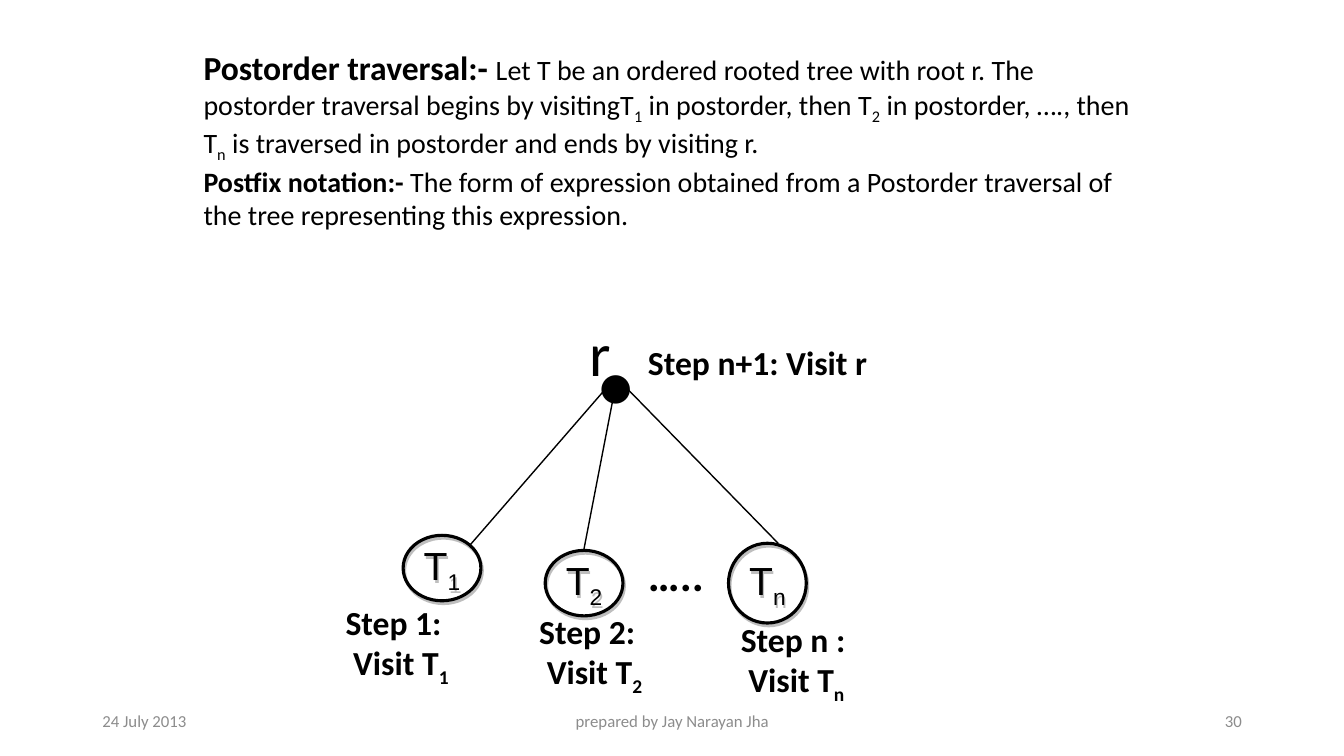
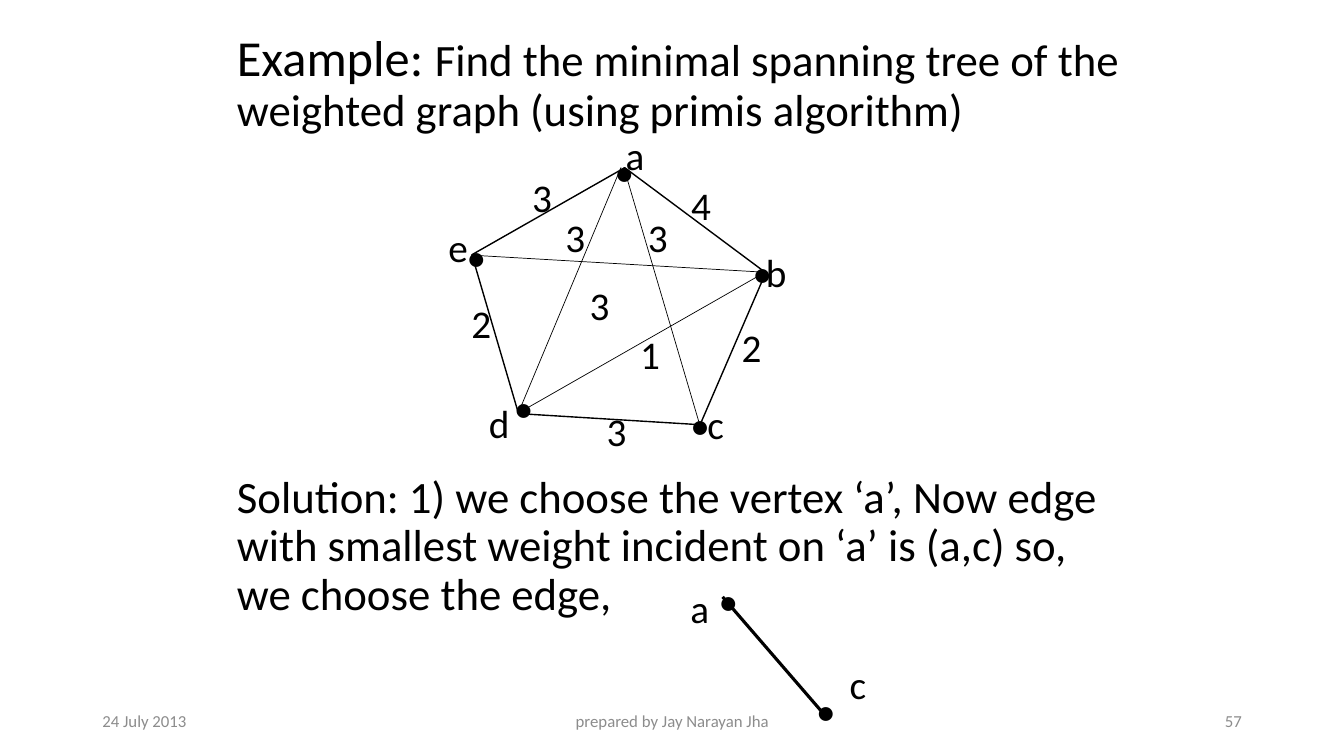
from lxml import etree
from pptx import Presentation
from pptx.dml.color import RGBColor
from pptx.enum.shapes import MSO_CONNECTOR, MSO_SHAPE
from pptx.enum.text import MSO_ANCHOR, PP_ALIGN
from pptx.oxml.ns import qn
from pptx.util import Cm, Pt

LEFT, CENTER, RIGHT = PP_ALIGN.LEFT, PP_ALIGN.CENTER, PP_ALIGN.RIGHT
TOP, MIDDLE = MSO_ANCHOR.TOP, MSO_ANCHOR.MIDDLE
STRAIGHT = MSO_CONNECTOR.STRAIGHT
OVAL, PENTAGON = MSO_SHAPE.OVAL, MSO_SHAPE.REGULAR_PENTAGON

COLOURS = {"ink": "000000", "footer": "8C8C8C", "shadow": "7F7F7F"}
BODY_FONT, NODE_FONT = "Calibri", "Arial"

# Content: a run is (text, size, bold); "_" makes the next character a subscript
DATE, AUTHOR = "24 July 2013", "prepared by Jay Narayan Jha"
DEFINITIONS = [
    [("Postorder traversal:- ", 24, True),
     ("Let T be an ordered rooted tree with root r. The postorder traversal "
      "begins by visitingT_1 in postorder, then T_2 in postorder, …., then T_n "
      "is traversed in postorder and ends by visiting r.", 20, False)],
    [("Postfix notation:- ", 20, True),
     ("The form of expression obtained from a Postorder traversal of the tree "
      "representing this expression.", 20, False)],
]
EXAMPLE = [[("Example: ", 36, False),
            ("Find the minimal spanning tree of the weighted graph "
             "(using primis algorithm)", 32, False)]]
SOLUTION = [[("Solution: 1) we choose the vertex ‘a’, Now edge with smallest "
              "weight incident on ‘a’ is (a,c) so, we choose the edge,", 32, False)]]

# Tree: subtree name, ellipse box, step title, step position (all in cm)
SUBTREES = [
    ("T_1", (10.16, 13.49, 1.96, 1.65), "Step 1:", (8.46, 15.04)),
    ("T_2", (13.74, 13.87, 1.96, 1.65), "Step 2:", (13.34, 15.27)),
    ("T_n", (18.36, 13.69, 1.96, 2.01), "Step n :", (18.42, 15.47)),
]
BRANCHES = [((15.52, 9.5), (11.84, 13.74)), ((15.52, 9.5), (19.61, 13.69)),
            ((15.52, 9.68), (14.71, 13.87))]
TREE_LABELS = [  # text, size, bold, box
    ("●", 44, False, (14.81, 8.59, 1.6, 2.13)),
    ("r", 44, False, (14.6, 7.82, 1.1, 2.13)),
    ("Step n+1: Visit r", 24, True, (16.08, 8.48, 6.4, 1.27)),
    ("…..", 32, True, (16.08, 13.64, 2.2, 1.63)),
]

# Weighted graph
DIAGONALS = [((11.89, 6.43), (19.28, 6.86)), ((13.06, 10.41), (15.65, 4.22)),
             ((15.72, 4.22), (17.63, 10.69)), ((13.06, 10.41), (19.28, 6.86))]
OUTLINE, OUTLINE_TURN = (11.84, 4.22, 7.42, 6.35), 3.5
CHOSEN_EDGE = ((18.21, 15.04), (20.75, 17.98))
GRAPH_LABELS = {
    "•": [(11.51, 5.72), (17.15, 9.96), (12.7, 9.53), (15.24, 3.58),
          (18.72, 6.12), (20.32, 17.17), (17.86, 14.4)],
    "a": [(15.52, 3.18), (17.15, 14.61)],
    "b": [(19.05, 6.12)],
    "c": [(17.58, 9.96), (21.16, 16.51)],
    "d": [(12.07, 9.93)],
    "e": [(11.05, 5.49)],
    "1": [(15.88, 8.2)],
    "2": [(11.63, 7.42), (18.44, 8.03)],
    "3": [(14.61, 6.96), (16.08, 5.26), (15.04, 10.13), (13.16, 4.24), (14, 5.26)],
    "4": [(17.17, 4.45)],
}
LABEL_SIZE = (1.1, 1.45)


def colour(name):
    return RGBColor.from_string(COLOURS[name])


def write(frame, paragraphs, font=BODY_FONT, ink="ink", align=LEFT, spacing=None):
    """Fill a frame with paragraphs of (text, size, bold) runs."""
    frame.word_wrap = True
    for index, runs in enumerate(paragraphs):
        para = frame.add_paragraph() if index else frame.paragraphs[0]
        para.alignment = align
        if spacing:
            para.line_spacing = spacing
        for text, size, bold in runs:
            first, *rest = text.split("_")
            pieces = [(first, False)]
            for part in rest:
                pieces += [(part[0], True), (part[1:], False)]
            for piece, lowered in pieces:
                if not piece:
                    continue
                span = para.add_run()
                span.text = piece
                span.font.name, span.font.size = font, Pt(size)
                span.font.bold = bold
                span.font.color.rgb = colour(ink)
                if lowered:
                    span._r.get_or_add_rPr().set("baseline", "-25000")


def add_text(page, place, paragraphs, anchor=TOP, **style):
    box = page.shapes.add_textbox(*map(Cm, place))
    box.text_frame.vertical_anchor = anchor
    write(box.text_frame, paragraphs, **style)
    return box


def add_line(page, ends, width):
    (x1, y1), (x2, y2) = ends
    line = page.shapes.add_connector(STRAIGHT, Cm(x1), Cm(y1), Cm(x2), Cm(y2))
    line.line.color.rgb, line.line.width = colour("ink"), Pt(width)
    etree.SubElement(line._element.spPr, qn("a:effectLst"))


def add_outline(page, kind, place, width):
    shape = page.shapes.add_shape(kind, *map(Cm, place))
    shape.fill.background()
    shape.line.color.rgb, shape.line.width = colour("ink"), Pt(width)
    shape.shadow.inherit = False
    return shape


def add_shadow(shape):
    effects = shape._element.spPr.find(qn("a:effectLst"))
    shadow = etree.SubElement(effects, qn("a:outerShdw"), dist=str(Pt(2.2)),
                              dir=str(63 * 60000), algn="ctr", rotWithShape="0")
    tint = etree.SubElement(shadow, qn("a:srgbClr"), val=COLOURS["shadow"])
    etree.SubElement(tint, qn("a:alpha"), val="50000")


def add_page(deck, number):
    """Blank page with the shared footer."""
    page = deck.slides.add_slide(deck.slide_layouts[6])
    for text, left, width, align in ((DATE, 2.33, 7.62, LEFT),
                                     (AUTHOR, 11.23, 11.43, CENTER),
                                     (str(number), 23.93, 7.62, RIGHT)):
        add_text(page, (left, 17.65, width, 1.02), [[(text, 12, False)]],
                 anchor=MIDDLE, ink="footer", align=align)
    return page


def build_traversal(deck):
    page = add_page(deck, 30)
    add_text(page, (4.88, 1.07, 24.13, 5.46), DEFINITIONS)
    for ends in BRANCHES:
        add_line(page, ends, 1)
    for text, size, bold, place in TREE_LABELS:
        add_text(page, place, [[(text, size, bold)]])
    for name, place, step, corner in SUBTREES:
        node = add_outline(page, OVAL, place, 2.25)
        add_shadow(node)
        frame = node.text_frame
        frame.margin_left = frame.margin_right = Cm(0.03)
        frame.margin_top = frame.margin_bottom = Cm(0.03)
        frame.vertical_anchor = MIDDLE
        write(frame, [[(name, 28, False)]], font=NODE_FONT, align=CENTER)
        box = add_text(page, (*corner, 3.4, 2.31),
                       [[(step, 24, True)], [("Visit " + name, 24, True)]])
        visit = box.text_frame.paragraphs[1]
        visit._p.get_or_add_pPr().set("marL", str(Cm(0.19)))


def build_spanning_tree(deck):
    page = add_page(deck, 57)
    add_text(page, (5.72, 0.71, 22.86, 2.8), EXAMPLE, spacing=0.9)
    add_text(page, (5.72, 11.84, 22.86, 4), SOLUTION, spacing=0.9)
    for ends in DIAGONALS:
        add_line(page, ends, 0.5)
    add_outline(page, PENTAGON, OUTLINE, 1).rotation = OUTLINE_TURN
    add_line(page, CHOSEN_EDGE, 2.25)
    for text, corners in GRAPH_LABELS.items():
        for corner in corners:
            add_text(page, (*corner, *LABEL_SIZE), [[(text, 28, False)]])


def main():
    deck = Presentation()
    deck.slide_width, deck.slide_height = Cm(33.87), Cm(19.05)
    build_traversal(deck)
    build_spanning_tree(deck)
    deck.save("out.pptx")


if __name__ == "__main__":
    main()
